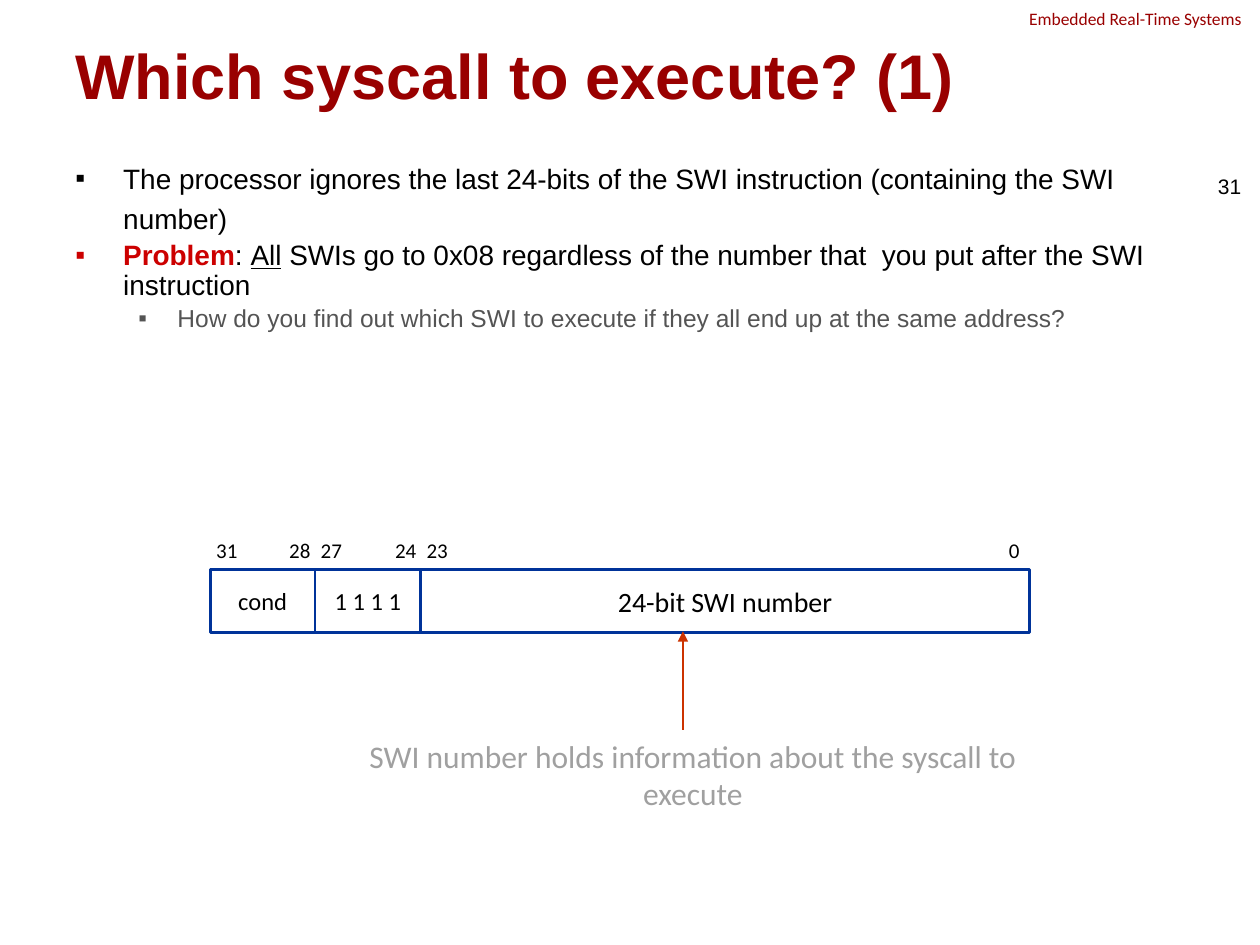
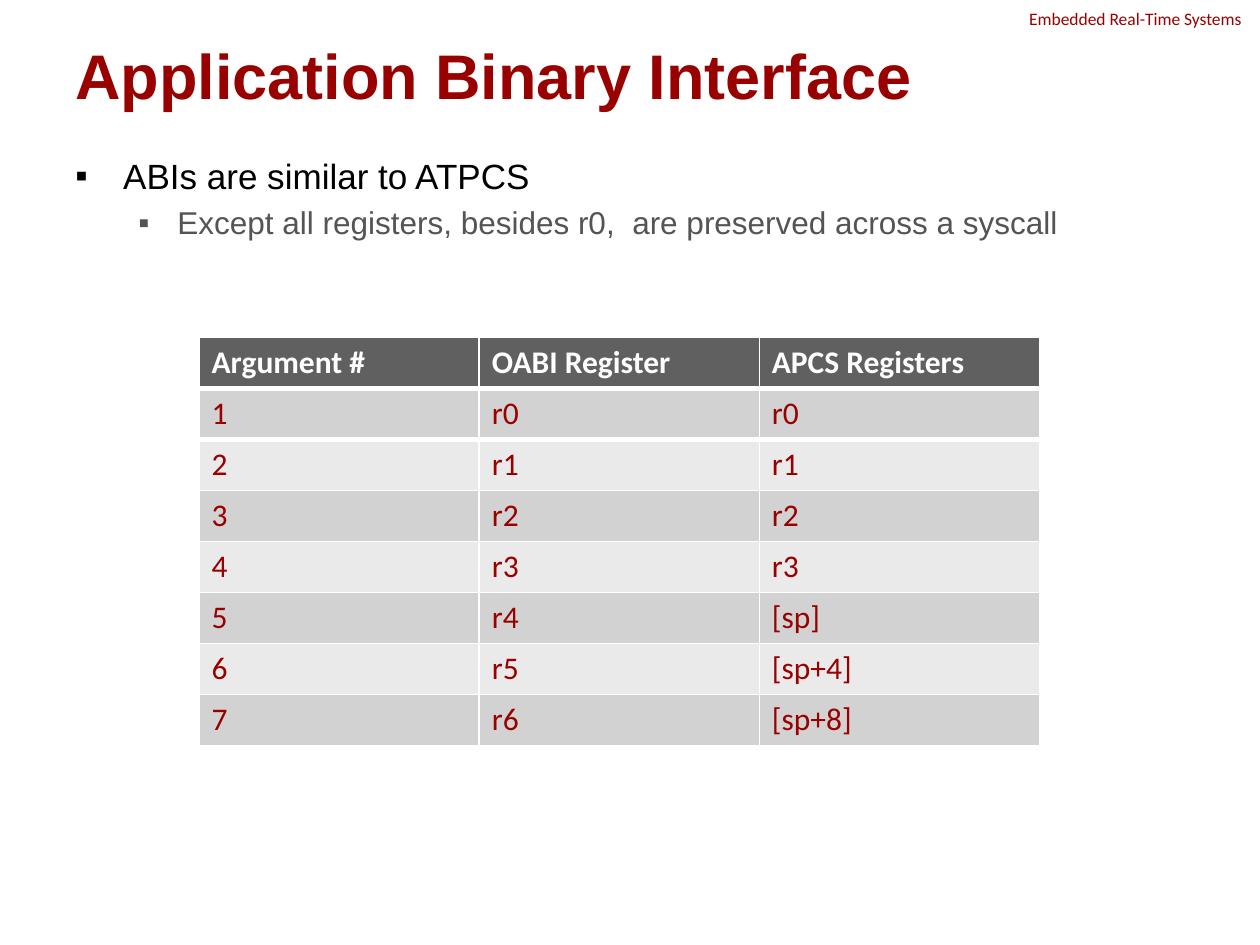
import pptx
import pptx.util
import pptx.dml.color
import pptx.enum.shapes
import pptx.enum.text
import pptx.oxml.ns
import lxml.etree

Inches = pptx.util.Inches
Align = pptx.enum.text.PP_ALIGN
Anchor = pptx.enum.text.MSO_ANCHOR
Shape = pptx.enum.shapes.MSO_SHAPE


class Theme:
    head, body = "Arial", "Calibri"
    brand, alert, arrow, frame = "990000", "CC0000", "CC3300", "003399"
    black, white, gray, pale = "000000", "FFFFFF", "545454", "A0A0A0"
    top, dark, light = "606060", "D2D2D2", "EAEAEA"
    title, large, text, small, note, tiny = 36, 18, 16, 14, 12, 10
    lead = 20


def style(runs, face, size, color, bold=False):
    for run in runs:
        run.font.name = face
        run.font.size = pptx.util.Pt(size)
        run.font.bold = bold
        run.font.color.rgb = pptx.dml.color.RGBColor.from_string(color)


def write(box, text, face, size, color, bold=False, align=Align.LEFT, wrap=True):
    """Fill a shape with one line of text, centred on its height."""
    frame = box.text_frame
    frame.text = text
    frame.word_wrap = wrap
    frame.vertical_anchor = Anchor.MIDDLE
    frame.paragraphs[0].alignment = align
    style(frame.paragraphs[0].runs, face, size, color, bold)


deck = pptx.Presentation()
deck.slide_width, deck.slide_height = Inches(10), Inches(7.5)

# Each bullet: level, line spacing, size, runs of (text, colour, bold, underline)
pages = [
    ("Which syscall to execute? (1)", [
        (0, 1.2, Theme.text, [
            ("The processor ignores the last 24-bits of the SWI instruction "
             "(containing the SWI number)", Theme.black, False, False)]),
        (0, 0.9, Theme.text, [
            ("Problem", Theme.alert, True, False),
            (": ", Theme.black, False, False),
            ("All", Theme.black, False, True),
            (" SWIs go to 0x08 regardless of the number that  you put after "
             "the SWI instruction", Theme.black, False, False)]),
        (1, 0.9, Theme.small, [
            ("How do you find out which SWI to execute if they all end up "
             "at the same address?", Theme.gray, False, False)]),
    ]),
    ("Application Binary Interface", [
        (0, 1.0, Theme.lead, [
            ("ABIs are similar to ATPCS", Theme.black, False, False)]),
        (1, 1.0, Theme.large, [
            ("Except all registers, besides r0,  are preserved across a syscall",
             Theme.gray, False, False)]),
    ]),
]
indents = [(0.38, -0.38), (0.81, -0.31)]

# Title, course name and bullets of every slide
for title, points in pages:
    slide = deck.slides.add_slide(deck.slide_layouts[6])
    box = slide.shapes.add_textbox(Inches(8.07), Inches(0.01), Inches(1.93), Inches(0.27))
    write(box, "Embedded Real-Time Systems", Theme.body, Theme.tiny, Theme.brand)
    box = slide.shapes.add_textbox(Inches(0.5), Inches(0.3), Inches(9), Inches(0.58))
    write(box, title, Theme.head, Theme.title, Theme.brand, bold=True)

    box = slide.shapes.add_textbox(Inches(0.5), Inches(1.18), Inches(9), Inches(5.52))
    frame = box.text_frame
    frame.word_wrap = True
    for index, (level, pitch, size, runs) in enumerate(points):
        para = frame.add_paragraph() if index else frame.paragraphs[0]
        para.level = level
        para.line_spacing = pitch
        if index:
            para.space_before = pptx.util.Pt(0.2 * size)
        props = para._p.get_or_add_pPr()
        left, hang = indents[level]
        props.set("marL", str(Inches(left)))
        props.set("indent", str(Inches(hang)))
        tint = lxml.etree.SubElement(props, pptx.oxml.ns.qn("a:buClr"))
        lxml.etree.SubElement(tint, pptx.oxml.ns.qn("a:srgbClr"), val=runs[0][1])
        lxml.etree.SubElement(props, pptx.oxml.ns.qn("a:buFont"), typeface=Theme.head)
        lxml.etree.SubElement(props, pptx.oxml.ns.qn("a:buChar"), char="▪")
        for text, color, bold, under in runs:
            run = para.add_run()
            run.text = text
            style([run], Theme.head, size, color, bold)
            run.font.underline = under

# Slide 1: layout of the SWI instruction word
shapes = deck.slides[0].shapes
box = shapes.add_textbox(Inches(9.19), Inches(1.28), Inches(0.76), Inches(0.4))
write(box, "31", Theme.head, Theme.note, Theme.black, align=Align.RIGHT)

fields = [
    ("cond", Theme.small, 1.67, 2.5, "31", "28"),
    ("1 1 1 1", Theme.small, 2.5, 3.34, "27", "24"),
    ("24-bit SWI number", Theme.text, 3.34, 8.17, "23", "0"),
]
for name, size, left, right, high, low in fields:
    cell = shapes.add_shape(Shape.RECTANGLE, Inches(left), Inches(4.52),
                            Inches(right - left), Inches(0.5))
    cell.shadow.inherit = False
    cell.fill.solid()
    cell.fill.fore_color.rgb = pptx.dml.color.RGBColor.from_string(Theme.white)
    cell.line.color.rgb = pptx.dml.color.RGBColor.from_string(Theme.frame)
    cell.line.width = pptx.util.Pt(1.5)
    write(cell, name, Theme.body, size, Theme.black, align=Align.CENTER, wrap=False)
    for bit, mid in [(high, left + 0.13), (low, right - 0.12)]:
        box = shapes.add_textbox(Inches(mid - 0.2), Inches(4.22), Inches(0.4), Inches(0.3))
        write(box, bit, Theme.body, Theme.note, Theme.black,
              align=Align.CENTER, wrap=False)

box = shapes.add_textbox(Inches(2.78), Inches(5.79), Inches(5.44), Inches(0.71))
write(box, "SWI number holds information about the syscall to execute",
      Theme.body, Theme.large, Theme.pale, align=Align.CENTER)

arrow = shapes.add_connector(pptx.enum.shapes.MSO_CONNECTOR.STRAIGHT,
                             Inches(5.42), Inches(5.79), Inches(5.42), Inches(5.01))
arrow.line.color.rgb = pptx.dml.color.RGBColor.from_string(Theme.arrow)
arrow.line.width = pptx.util.Pt(1.5)
lxml.etree.SubElement(arrow.line._get_or_add_ln(), pptx.oxml.ns.qn("a:tailEnd"),
                      type="triangle")
lxml.etree.SubElement(arrow._element.spPr, pptx.oxml.ns.qn("a:effectLst"))

# Slide 2: registers that carry the arguments
rows = [
    ("Argument #", "OABI Register", "APCS Registers"),
    ("1", "r0", "r0"),
    ("2", "r1", "r1"),
    ("3", "r2", "r2"),
    ("4", "r3", "r3"),
    ("5", "r4", "[sp]"),
    ("6", "r5", "[sp+4]"),
    ("7", "r6", "[sp+8]"),
]
grid = deck.slides[1].shapes.add_table(len(rows), 3, Inches(1.58), Inches(2.68),
                                       Inches(6.67), Inches(3.24)).table
rules = {0: "a:lnB", 1: "a:lnT"}  # thick rule between the header and the first row
for row, texts in enumerate(rows):
    if row == 0:
        fill, color = Theme.top, Theme.white
    else:
        fill, color = (Theme.dark if row % 2 else Theme.light), Theme.brand
    for col, text in enumerate(texts):
        cell = grid.cell(row, col)
        if row in rules:
            edge = lxml.etree.SubElement(cell._tc.get_or_add_tcPr(),
                                         pptx.oxml.ns.qn(rules[row]),
                                         w=str(pptx.util.Pt(3)))
            paint = lxml.etree.SubElement(edge, pptx.oxml.ns.qn("a:solidFill"))
            lxml.etree.SubElement(paint, pptx.oxml.ns.qn("a:srgbClr"), val=Theme.white)
        cell.fill.solid()
        cell.fill.fore_color.rgb = pptx.dml.color.RGBColor.from_string(fill)
        cell.text_frame.text = text
        style(cell.text_frame.paragraphs[0].runs, Theme.body, Theme.large, color,
              bold=row == 0)

deck.save("out.pptx")
